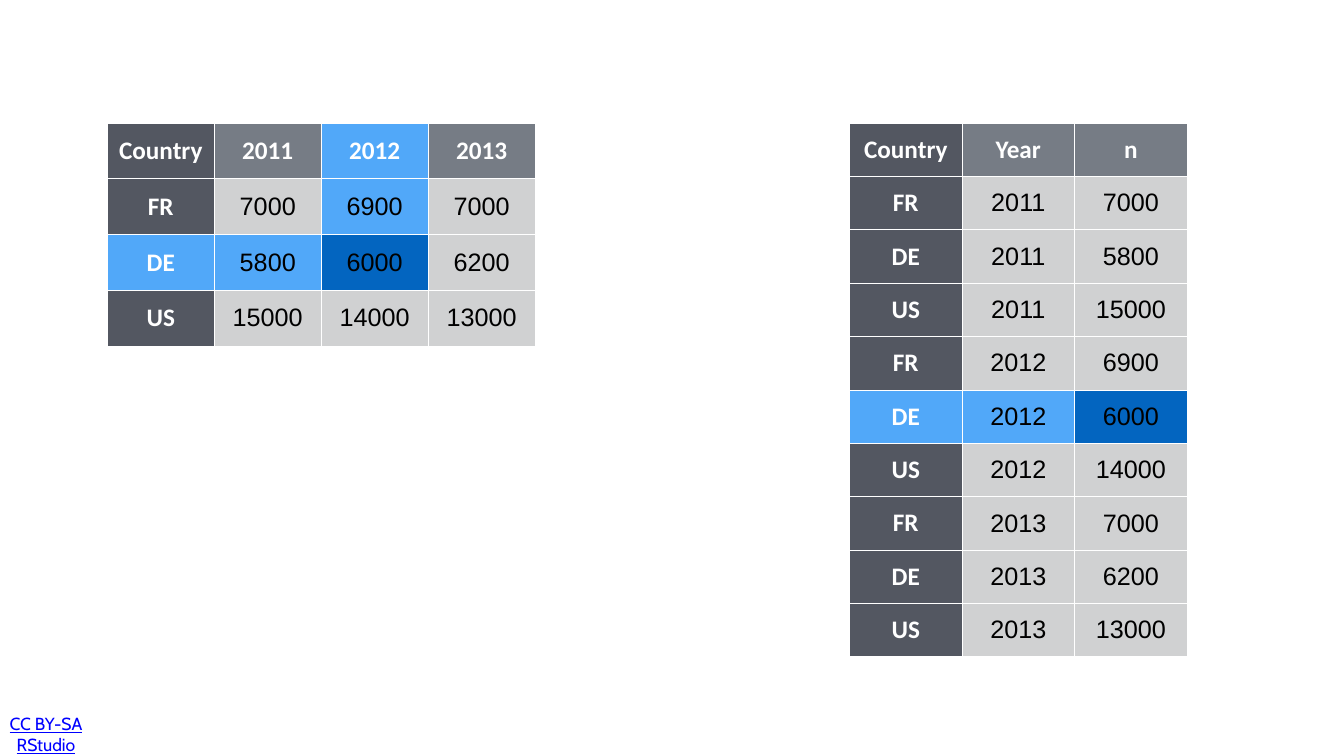
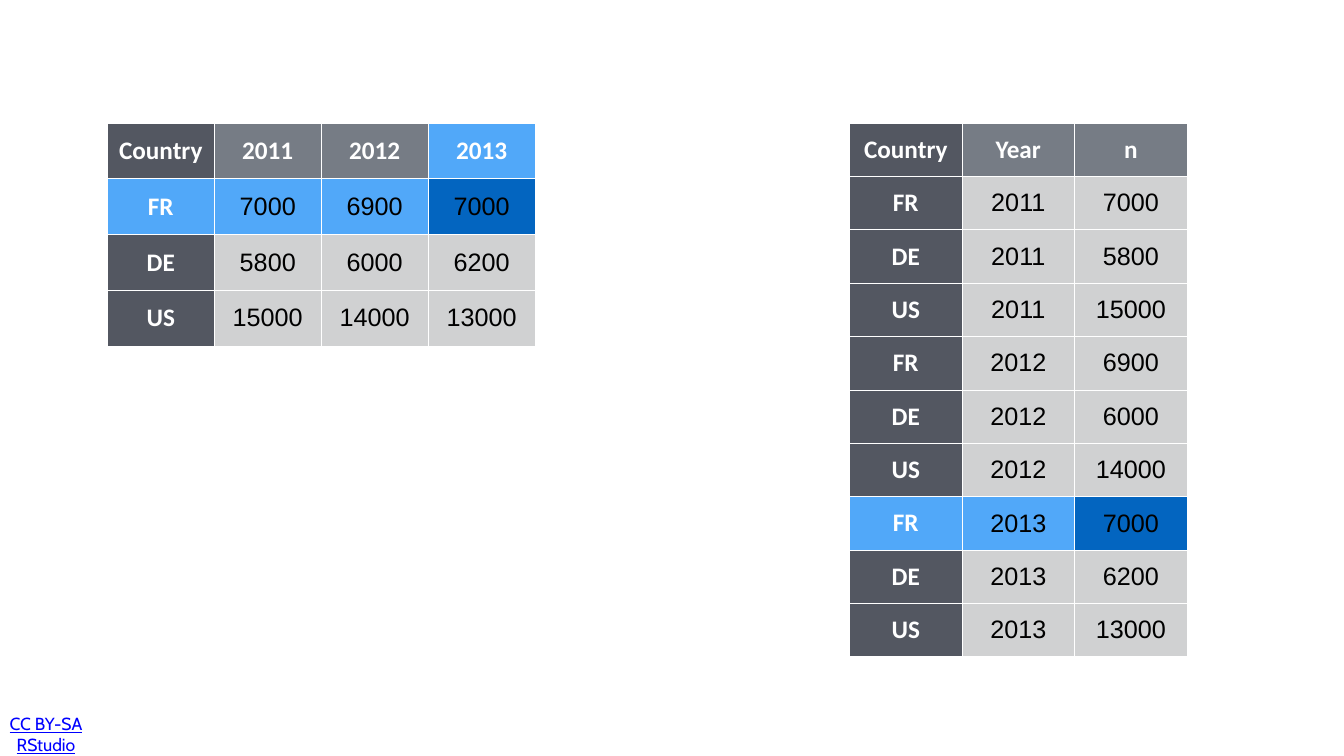
from lxml.etree import SubElement
from pptx import Presentation
from pptx.dml.color import RGBColor
from pptx.enum.text import MSO_ANCHOR, PP_ALIGN
from pptx.oxml.ns import qn
from pptx.util import Cm, Pt

YEARS = ["2011", "2012", "2013"]
COUNTS = {
    "FR": ["7000", "6900", "7000"],
    "DE": ["5800", "6000", "6200"],
    "US": ["15000", "14000", "13000"],
}
LICENCE = "CC BY-SA RStudio"
# The country and year followed on each slide
TRACKED = [("DE", "2012"), ("FR", "2013")]

WHITE = RGBColor(0xFF, 0xFF, 0xFF)
BLACK = RGBColor(0x00, 0x00, 0x00)
KEY_GREY = RGBColor(0x53, 0x57, 0x61)
HEADER_GREY = RGBColor(0x76, 0x7C, 0x85)
VALUE_GREY = RGBColor(0xD0, 0xD1, 0xD2)
PATH_BLUE = RGBColor(0x51, 0xA8, 0xF9)
TARGET_BLUE = RGBColor(0x03, 0x65, 0xC0)
LINK_BLUE = RGBColor(0x00, 0x00, 0xFF)

TABLE_TOP = Cm(6.2)
WIDE_LEFT, WIDE_COLUMN, WIDE_ROW = Cm(5.41), Cm(5.39), Cm(2.81)
LONG_LEFT, LONG_COLUMN, LONG_ROW = Cm(42.82), Cm(5.67), Cm(2.69)
CELL_INSET = Cm(0.15)

WIDE = [["Country", *YEARS]] + [[country, *counts] for country, counts in COUNTS.items()]
LONG = [["Country", "Year", "n"]] + [
    [country, year, counts[i]]
    for i, year in enumerate(YEARS)
    for country, counts in COUNTS.items()
]


def add_run(paragraph, text, font_name, size, color, bold=False, underline=False):
    paragraph.alignment = PP_ALIGN.CENTER
    run = paragraph.add_run()
    run.text = text
    font = run.font
    font.name, font.size, font.bold, font.underline = font_name, Pt(size), bold, underline
    font.color.rgb = color


def set_borders(cell, color, width):
    properties = cell._tc.get_or_add_tcPr()
    for side in ("lnL", "lnR", "lnT", "lnB"):
        line = SubElement(properties, qn(f"a:{side}"), w=str(width))
        fill = SubElement(line, qn("a:solidFill"))
        SubElement(fill, qn("a:srgbClr"), val=str(color))


def base_color(row, column):
    if column == 0:
        return KEY_GREY
    return HEADER_GREY if row == 0 else VALUE_GREY


def add_data_table(slide, rows, left, column_width, row_height, target, trail):
    """Draw rows as a table, with the trail cells light blue and the target dark blue."""
    row_count, column_count = len(rows), len(rows[0])
    table = slide.shapes.add_table(
        row_count, column_count, left, TABLE_TOP,
        column_width * column_count, row_height * row_count).table
    for column in table.columns:
        column.width = column_width
    for r, values in enumerate(rows):
        table.rows[r].height = row_height
        for c, value in enumerate(values):
            cell = table.cell(r, c)
            set_borders(cell, WHITE, Pt(1))
            cell.fill.solid()
            if (r, c) == target:
                cell.fill.fore_color.rgb = TARGET_BLUE
            elif (r, c) in trail:
                cell.fill.fore_color.rgb = PATH_BLUE
            else:
                cell.fill.fore_color.rgb = base_color(r, c)
            cell.vertical_anchor = MSO_ANCHOR.MIDDLE
            cell.margin_left = cell.margin_right = CELL_INSET
            cell.margin_top = cell.margin_bottom = CELL_INSET
            is_label = r == 0 or c == 0
            add_run(cell.text_frame.paragraphs[0], value,
                    "Calibri" if is_label else "Arial", 36,
                    WHITE if is_label else BLACK, bold=is_label)


def add_wide_table(slide, country, year):
    row = 1 + list(COUNTS).index(country)
    column = 1 + YEARS.index(year)
    trail = {(row, c) for c in range(column)} | {(r, column) for r in range(row)}
    add_data_table(slide, WIDE, WIDE_LEFT, WIDE_COLUMN, WIDE_ROW, (row, column), trail)


def add_long_table(slide, country, year):
    row = next(r for r, values in enumerate(LONG) if values[:2] == [country, year])
    add_data_table(slide, LONG, LONG_LEFT, LONG_COLUMN, LONG_ROW,
                   (row, 2), {(row, 0), (row, 1)})


def add_licence(slide):
    frame = slide.shapes.add_textbox(Cm(0.12), Cm(35.95), Cm(4.4), Cm(2.1)).text_frame
    frame.word_wrap = True
    frame.vertical_anchor = MSO_ANCHOR.MIDDLE
    frame.margin_left = frame.margin_right = Cm(0.2)
    frame.margin_top = frame.margin_bottom = 0
    add_run(frame.paragraphs[0], LICENCE, "Cabin", 25, LINK_BLUE, underline=True)


def main():
    deck = Presentation()
    deck.slide_width, deck.slide_height = Cm(67.74), Cm(38.1)
    blank = deck.slide_layouts[6]
    for country, year in TRACKED:
        slide = deck.slides.add_slide(blank)
        add_licence(slide)
        add_wide_table(slide, country, year)
        add_long_table(slide, country, year)
    deck.save("out.pptx")


if __name__ == "__main__":
    main()
